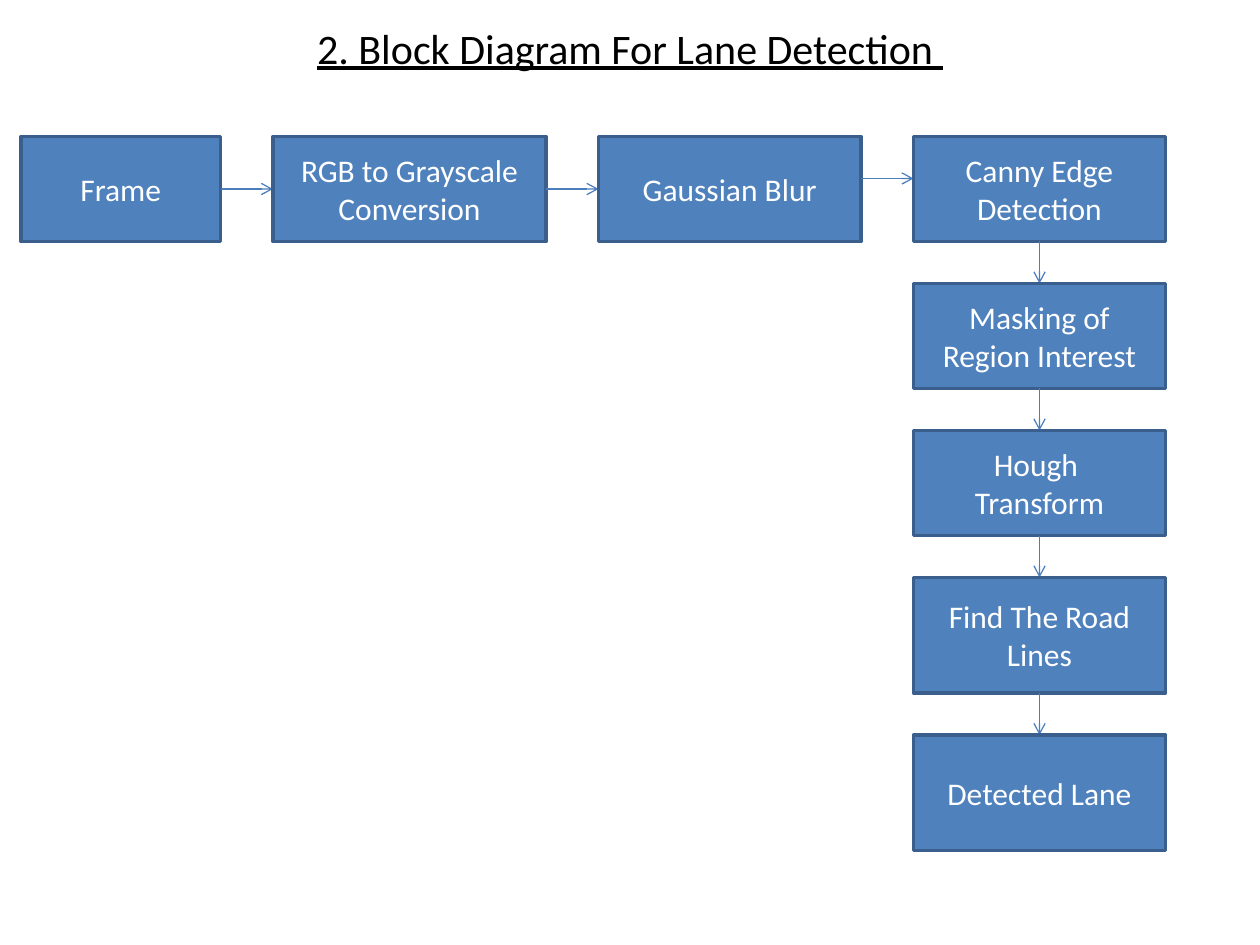
from pptx import Presentation
from pptx import util as u
from pptx.dml.color import RGBColor
from pptx.enum import shapes, text
from pptx.oxml.ns import qn
from lxml import etree

CELLS_PER_INCH = 12
ROW_LEFT, ROW_TOP = 2, 13
ROW_GAP, COLUMN_GAP = 5, 4
BLOCK_HEIGHT = 10
LAST_WIDTH = 24

# Text and width of each block, then text and height of each block
ROW = [("Frame", 19), ("RGB to Grayscale Conversion", 26),
       ("Gaussian Blur", 25), ("Canny Edge Detection", LAST_WIDTH)]
COLUMN = [("Masking of Region Interest", 10), ("Hough  Transform", 10),
          ("Find The Road Lines", 11), ("Detected Lane", 11)]
ROW_ARROW_LEVELS = [18, 18, 17]


def grid(cells):
    return u.Inches(cells / CELLS_PER_INCH)


def color(value):
    return RGBColor.from_string(value)


def write(shape, words, size, fill, underline=False):
    frame = shape.text_frame
    frame.word_wrap = True
    frame.auto_size = text.MSO_AUTO_SIZE.NONE
    frame.vertical_anchor = text.MSO_ANCHOR.MIDDLE
    paragraph = frame.paragraphs[0]
    paragraph.alignment = text.PP_ALIGN.CENTER
    run = paragraph.add_run()
    run.text = words
    run.font.name = "Calibri"
    run.font.size = u.Pt(size)
    run.font.underline = underline
    run.font.color.rgb = color(fill)


def add_title(slide, words):
    title = slide.shapes.title
    title.left, title.top, title.width, title.height = map(grid, (9, 2, 102, 5))
    write(title, words, 24, "000000", underline=True)


def add_block(slide, words, left, top, width, height):
    block = slide.shapes.add_shape(
        shapes.MSO_SHAPE.RECTANGLE, *map(grid, (left, top, width, height)))
    block.shadow.inherit = False
    block.fill.solid()
    block.fill.fore_color.rgb = color("4F81BD")
    block.line.color.rgb = color("3A5F8C")
    block.line.width = u.Pt(2)
    write(block, words, 18, "FFFFFF")


def add_arrow(slide, start, end):
    arrow = slide.shapes.add_connector(
        shapes.MSO_CONNECTOR.STRAIGHT, *map(grid, start + end))
    arrow.line.color.rgb = color("4B7EBC")
    arrow.line.width = u.Pt(0.75)
    etree.SubElement(arrow.line._get_or_add_ln(), qn("a:tailEnd"), type="arrow")
    etree.SubElement(arrow._element.spPr, qn("a:effectLst"))


def add_row(slide):
    """Draw the blocks from left to right; return the left of the last one."""
    left = ROW_LEFT
    for index, (words, width) in enumerate(ROW):
        if index:
            level = ROW_ARROW_LEVELS[index - 1]
            add_arrow(slide, (left, level), (left + ROW_GAP, level))
            left += ROW_GAP
        add_block(slide, words, left, ROW_TOP, width, BLOCK_HEIGHT)
        left += width
    return left - LAST_WIDTH


def add_column(slide, left):
    """Draw the blocks that run down from the last block of the row."""
    bottom = ROW_TOP + BLOCK_HEIGHT
    center = left + LAST_WIDTH / 2
    for words, height in COLUMN:
        top = bottom + COLUMN_GAP
        add_arrow(slide, (center, bottom), (center, top))
        add_block(slide, words, left, top, LAST_WIDTH, height)
        bottom = top + height


def main():
    presentation = Presentation()
    presentation.slide_width = u.Inches(10)
    presentation.slide_height = u.Inches(7.5)
    slide = presentation.slides.add_slide(presentation.slide_layouts[5])
    add_title(slide, "2. Block Diagram For Lane Detection ")
    add_column(slide, add_row(slide))
    presentation.save("out.pptx")


if __name__ == "__main__":
    main()
